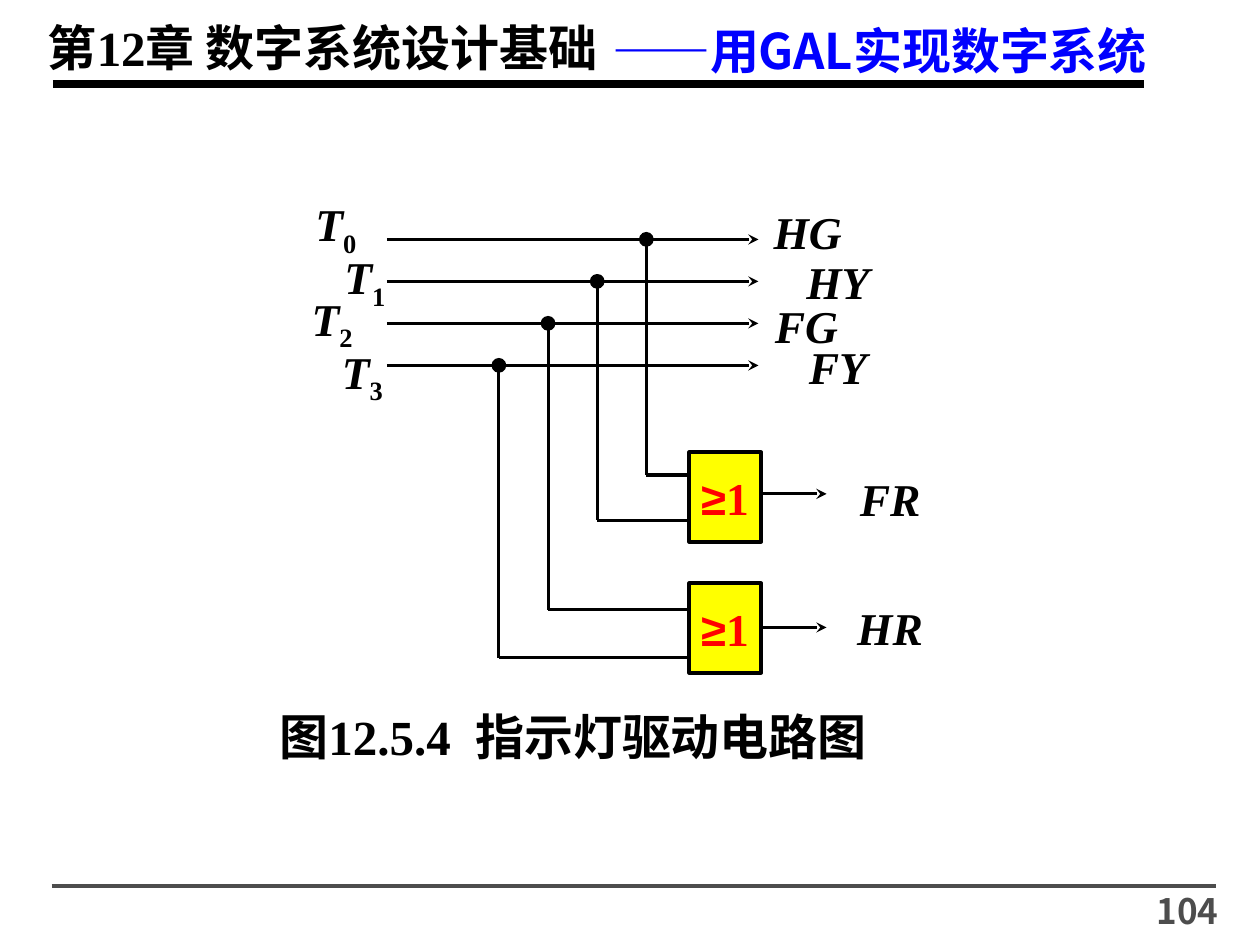
from lxml import etree
from pptx import Presentation
from pptx.dml.color import RGBColor
from pptx.enum.shapes import MSO_CONNECTOR, MSO_SHAPE
from pptx.enum.text import MSO_ANCHOR, MSO_AUTO_SIZE, PP_ALIGN
from pptx.oxml.ns import qn
from pptx.util import Inches, Pt

LEFT, CENTER, RIGHT = PP_ALIGN.LEFT, PP_ALIGN.CENTER, PP_ALIGN.RIGHT
BLACK = RGBColor(0, 0, 0)
BLUE = RGBColor(0, 0, 255)
RED = RGBColor(255, 0, 0)
YELLOW = RGBColor(255, 255, 0)
GREY = RGBColor(0x4D, 0x4D, 0x4D)
SERIF, SANS, CJK = "Times New Roman", "Arial", "Noto Sans CJK SC"

CHAPTER = "第12章 数字系统设计基础"
TOPIC = ("——", "用GAL实现数字系统")
CAPTION = "图12.5.4  指示灯驱动电路图"
PAGE = "104"

# Inputs: subscript, left and top of the label, y where the tap enters its gate
INPUTS = [
    ("0", 2.17, 1.51, 3.77),
    ("1", 2.40, 1.93, 4.13),
    ("2", 2.14, 2.26, 4.84),
    ("3", 2.38, 2.68, 5.22),
]
# Outputs: name, left, top, width of the label
OUTPUTS = [
    ("HG", 5.77, 1.57, 1.28),
    ("HY", 6.01, 1.97, 1.28),
    ("FG", 5.76, 2.32, 1.28),
    ("FY", 6.01, 2.64, 1.28),
    ("FR", 6.72, 3.69, 0.69),
    ("HR", 6.56, 4.71, 1.01),
]
# Gates: top edge, y of the output wire
GATES = [(3.59, 3.92), (4.63, 4.98)]

BUS_X, BUS_END, BUS_Y, BUS_GAP = 3.07, 6.02, 1.9, 1 / 3
TAP_X, TAP_GAP = 5.13, 0.39
GATE_X, GATE_W, GATE_H = 5.47, 0.57, 0.71
OUT_LEN, DOT = 0.52, 0.1

prs = Presentation()
prs.slide_width, prs.slide_height = Inches(10), Inches(7.5)
slide = prs.slides.add_slide(prs.slide_layouts[5])
shapes = slide.shapes


def box(*lengths):
    return [Inches(n) for n in lengths]


def write(shape, runs, align=LEFT, wrap=True):
    """Fill a shape with one paragraph of (text, font, size, colour) runs."""
    frame = shape.text_frame
    frame.word_wrap = wrap
    frame.auto_size = MSO_AUTO_SIZE.NONE
    para = frame.paragraphs[0]
    para.alignment = align
    for text, face, size, color in runs:
        run = para.add_run()
        run.text = text
        font = run.font
        font.name, font.size, font.bold = face, Pt(size), True
        font.color.rgb = color
    return para.runs


def label(place, runs, align=LEFT):
    return write(shapes.add_textbox(*box(*place)), runs, align)


def wire(x1, y1, x2, y2, width=1.75, color=BLACK, arrow=False):
    line = shapes.add_connector(MSO_CONNECTOR.STRAIGHT, *box(x1, y1, x2, y2))
    line.line.color.rgb = color
    line.line.width = Pt(width)
    if arrow:
        ln = line.line._get_or_add_ln()
        etree.SubElement(ln, qn("a:tailEnd"), type="stealth")
    etree.SubElement(line._element.spPr, qn("a:effectLst"))


def solid(kind, place, fill, width):
    shape = shapes.add_shape(kind, *box(*place))
    shape.shadow.inherit = False
    shape.fill.solid()
    shape.fill.fore_color.rgb = fill
    shape.line.color.rgb = BLACK
    shape.line.width = Pt(width)
    return shape


# Heading and footer
title = shapes.title
title.left, title.top, title.width, title.height = box(0.28, 0.09, 6.24, 0.57)
title.text_frame.vertical_anchor = MSO_ANCHOR.TOP
write(title, [(CHAPTER, SERIF, 28, BLACK)])
wire(0.42, 0.67, 9.08, 0.67, 4.5)
label((4.76, 0.11, 4.81, 0.57),
      [(text, face, 28, BLUE) for text, face in zip(TOPIC, (SERIF, CJK))])
wire(0.41, 7.03, 9.65, 7.03, 2, GREY)
label((8.38, 7.01, 1.39, 0.39), [(PAGE, CJK, 20, GREY)], RIGHT)

# Signal lines with their taps down to the gates
for i, (sub, left, top, end) in enumerate(INPUTS):
    y, x = BUS_Y + i * BUS_GAP, TAP_X - i * TAP_GAP
    wire(BUS_X, y, BUS_END, y, arrow=True)
    wire(x, y, x, end)
    wire(x, end, GATE_X, end)
    solid(MSO_SHAPE.OVAL, (x - DOT / 2, y - DOT / 2, DOT, DOT), BLACK, 1.25)
    name, index = label((left, top, 0.99, 0.6),
                        [("T", SERIF, 26, BLACK), (sub, SERIF, 26, BLACK)], CENTER)
    name.font.italic = True
    index.font._element.set("baseline", "-25000")

for top, y in GATES:
    gate = solid(MSO_SHAPE.RECTANGLE, (GATE_X, top, GATE_W, GATE_H), YELLOW, 2.25)
    gate.text_frame.vertical_anchor = MSO_ANCHOR.MIDDLE
    write(gate, [("≥", SANS, 26, RED), ("1", SERIF, 26, RED)], CENTER, False)
    start = GATE_X + GATE_W
    wire(start, y, start + OUT_LEN, y, arrow=True)

for text, left, top, width in OUTPUTS:
    label((left, top, width, 0.54),
          [(text, SERIF, 26, BLACK)], CENTER)[0].font.italic = True

label((2.12, 5.56, 5.49, 0.57), [(CAPTION, SERIF, 28, BLACK)])

prs.save("out.pptx")
